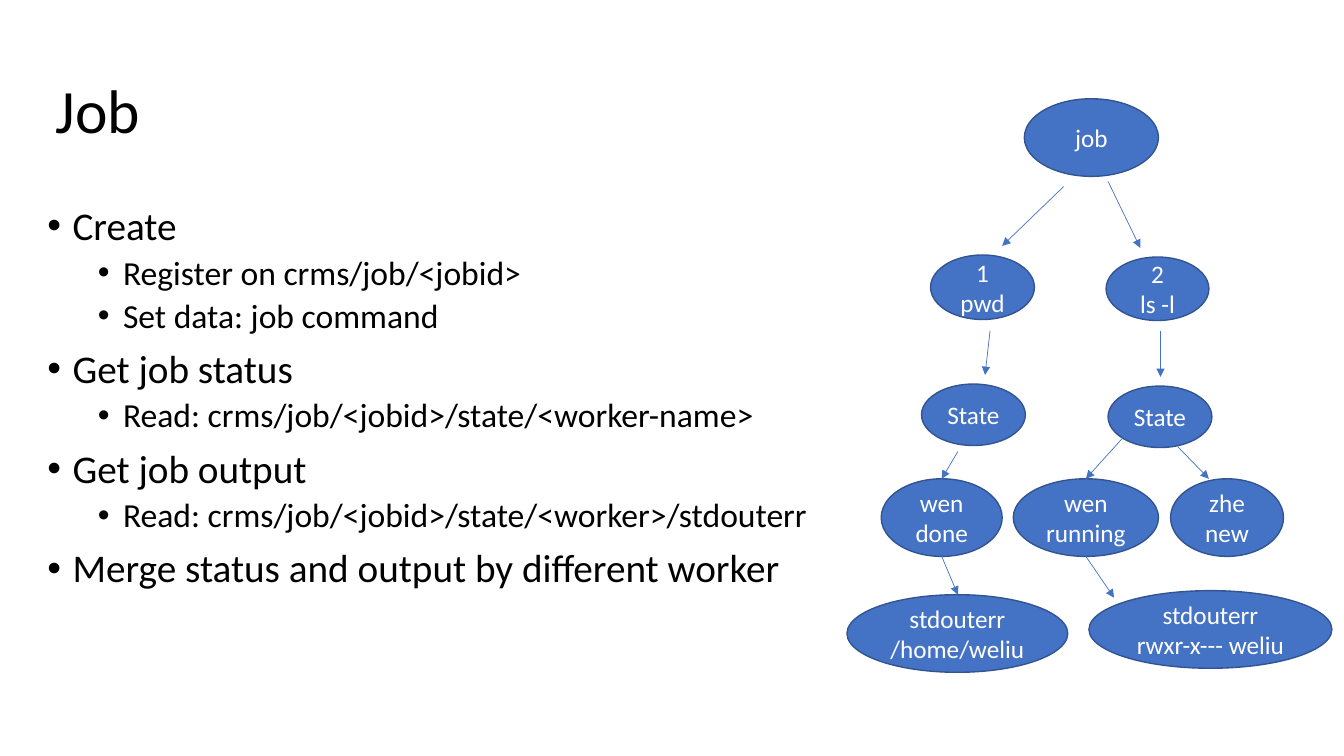
from lxml import etree
from pptx import Presentation
from pptx import util as u
from pptx.dml import color
from pptx.enum import shapes, text
from pptx.oxml import ns

PX = 9144
FONT = "Calibri"
BLUE, EDGE, WHITE, BLACK = "4472C4", "325491", "FFFFFF", "000000"

ITEMS = [
    (0, "Create"),
    (1, "Register on crms/job/<jobid>"),
    (1, "Set data: job command"),
    (0, "Get job status"),
    (1, "Read: crms/job/<jobid>/state/<worker-name>"),
    (0, "Get job output"),
    (1, "Read: crms/job/<jobid>/state/<worker>/stdouterr"),
    (0, "Merge status and output by different worker"),
]

NODES = [
    ("job", 1016, 98, 133, 77),
    ("1\npwd", 923, 253, 103, 64),
    ("2\nls -l", 1097, 255, 102, 63),
    ("State", 914, 381, 103, 61),
    ("State", 1099, 383, 103, 61),
    ("wen\ndone", 874, 475, 120, 77),
    ("wen\nrunning", 1005, 475, 144, 77),
    ("zhe\nnew", 1161, 475, 112, 77),
    ("stdouterr\n/home/weliu", 840, 590, 219, 77),
    ("stdouterr\nrwxr-x--- weliu", 1080, 586, 241, 77),
]

ARROWS = [
    (1055, 185, 994, 244),
    (1099, 180, 1131, 246),
    (982, 328, 977, 372),
    (1151, 328, 1151, 374),
    (950, 448, 934, 475),
    (1114, 434, 1077, 475),
    (1168, 443, 1199, 475),
    (934, 552, 950, 590),
    (1077, 552, 1105, 593),
]


def px(*nums):
    """Turn px lengths into EMU."""
    return [u.Emu(n * PX) for n in nums]


def rgb(code):
    """Turn a hex string into a colour."""
    return color.RGBColor.from_string(code)


def style(para, size, code):
    """Format every run of a paragraph."""
    for run in para.runs:
        run.font.name = FONT
        run.font.size = u.Pt(size)
        run.font.color.rgb = rgb(code)


def add_tag(node, tag, **attrs):
    """Append a drawing element with its attributes."""
    return etree.SubElement(node, ns.qn(tag), attrs)


def place(shape, box):
    """Move and size a placeholder, and return its text frame."""
    shape.left, shape.top, shape.width, shape.height = px(*box)
    frame = shape.text_frame
    frame.word_wrap = True
    frame.auto_size = text.MSO_AUTO_SIZE.NONE
    return frame


def set_title(shape, words, box):
    """Fill the title placeholder."""
    frame = place(shape, box)
    frame.text = words
    frame.vertical_anchor = text.MSO_ANCHOR.MIDDLE
    para = frame.paragraphs[0]
    para.alignment = text.PP_ALIGN.LEFT
    para.line_spacing = 0.9
    style(para, 44, BLACK)


def set_list(shape, items, box):
    """Fill the body placeholder with a two-level list."""
    frame = place(shape, box)
    frame.text = "\n".join(words for _, words in items)
    for para, (level, _) in zip(frame.paragraphs, items):
        para.level = level
        para.line_spacing = 0.9
        para.space_before = u.Pt(5 if level else 10)
        style(para, 24 if level else 28, BLACK)
        left, hang = px(25 + 50 * level, -25)
        prop = para._p.get_or_add_pPr()
        prop.set("marL", str(left))
        prop.set("indent", str(hang))
        add_tag(prop, "a:buFont", typeface="Arial")
        add_tag(prop, "a:buChar", char="•")


def add_node(slide, words, *box):
    """Draw one ellipse of the tree."""
    node = slide.shapes.add_shape(shapes.MSO_SHAPE.OVAL, *px(*box))
    node.shadow.inherit = False
    node.fill.solid()
    node.fill.fore_color.rgb = rgb(BLUE)
    node.line.color.rgb = rgb(EDGE)
    node.line.width = u.Pt(1)
    frame = node.text_frame
    frame.text = words
    frame.word_wrap = False
    frame.vertical_anchor = text.MSO_ANCHOR.MIDDLE
    for para in frame.paragraphs:
        para.alignment = text.PP_ALIGN.CENTER
        style(para, 18, WHITE)


def add_arrow(slide, *ends):
    """Draw one arrow between two points."""
    kind = shapes.MSO_CONNECTOR.STRAIGHT
    arrow = slide.shapes.add_connector(kind, *px(*ends))
    arrow.line.color.rgb = rgb(BLUE)
    arrow.line.width = u.Pt(0.5)
    add_tag(arrow.line._get_or_add_ln(), "a:tailEnd", type="triangle")
    add_tag(arrow._element.spPr, "a:effectLst")


def main():
    """Build the slide and save it."""
    deck = Presentation()
    deck.slide_width, deck.slide_height = px(1333, 750)
    slide = deck.slides.add_slide(deck.slide_layouts[1])
    set_title(slide.shapes.title, "Job", (45, 40, 1197, 145))
    set_list(slide.placeholders[1], ITEMS, (37, 200, 809, 476))
    for node in NODES:
        add_node(slide, *node)
    for ends in ARROWS:
        add_arrow(slide, *ends)
    deck.save("out.pptx")


if __name__ == "__main__":
    main()
